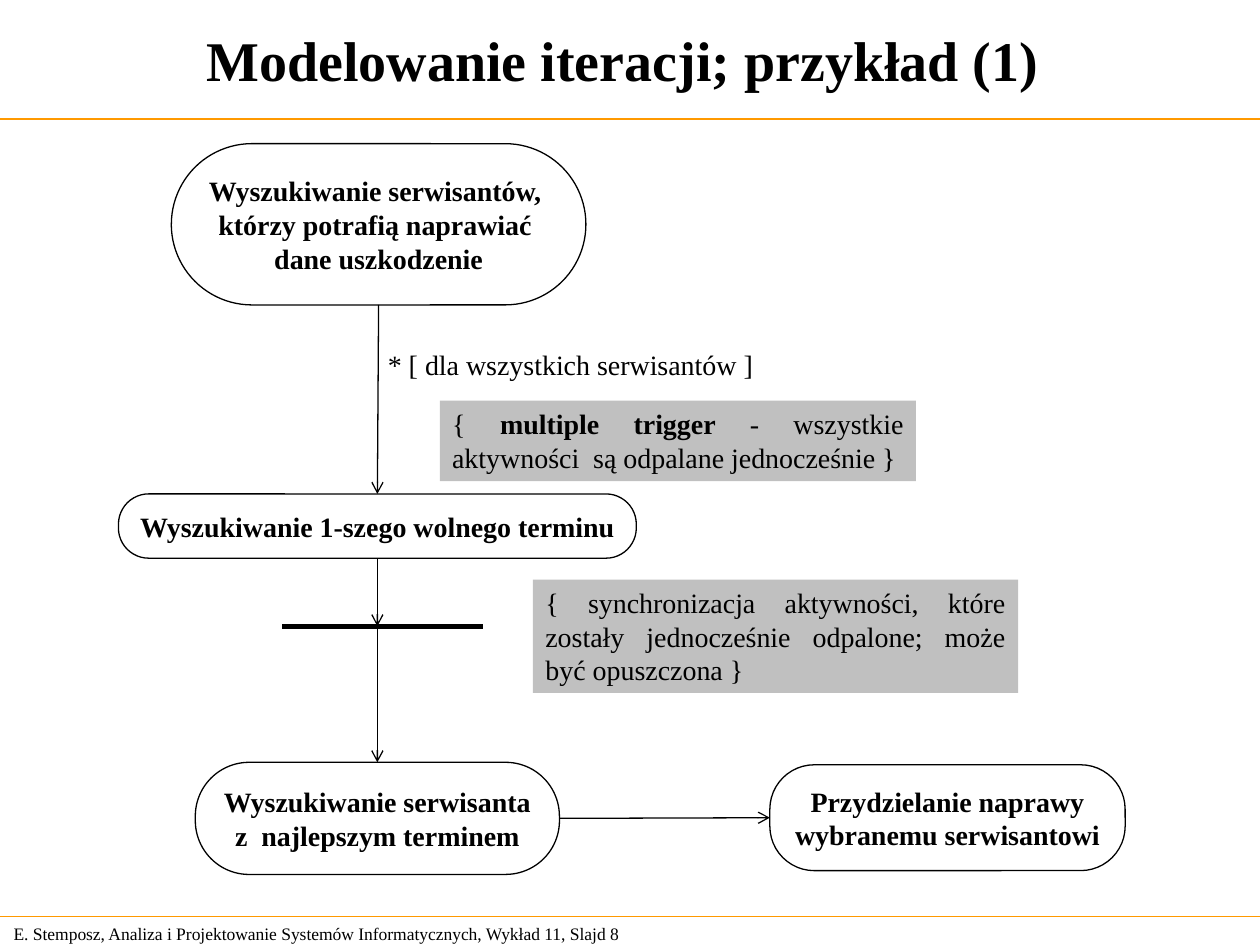
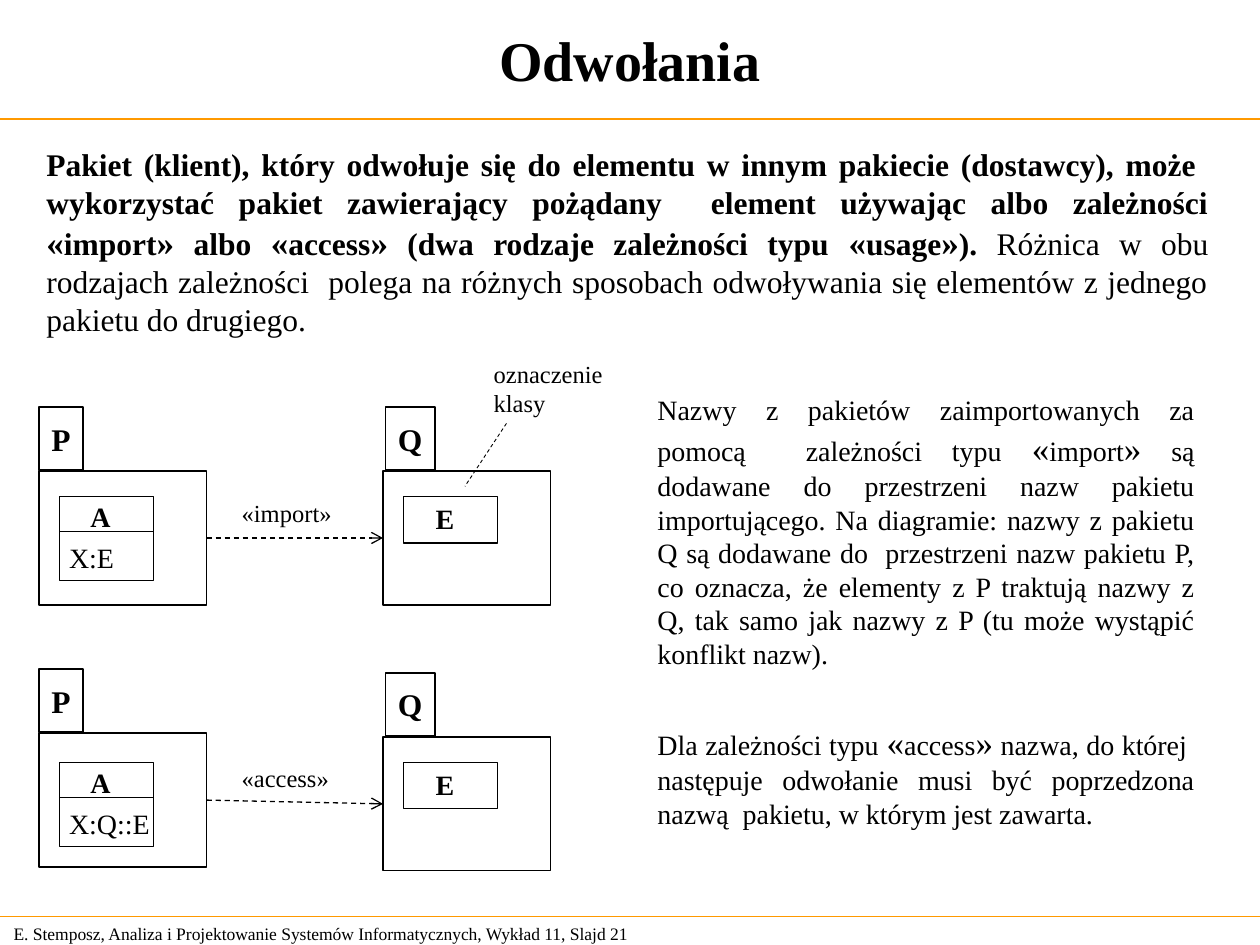
from itertools import groupby
from lxml import etree
from pptx import Presentation, util as u
from pptx.dml.color import RGBColor
from pptx.enum import dml, shapes, text
from pptx.oxml.ns import qn

# The slide is a grid of 100 columns by 75 rows.
COLS, ROWS = 100, 75
CELL = u.Inches(0.1)
FONT = "Times New Roman"
BLACK, WHITE, GREY, ORANGE = "000000", "FFFFFF", "C0C0C0", "FF9900"
TOP, BASE = 9.42, 72.75
LEFT, MID, JUST = text.PP_ALIGN.LEFT, text.PP_ALIGN.CENTER, text.PP_ALIGN.JUSTIFY
KIND = shapes.MSO_SHAPE
FOOT = "E. Stemposz, Analiza i Projektowanie Systemów Informatycznych, Wykład 11, Slajd {}"


def grid(*cells):
    return [round(n * CELL) for n in cells]


def color(code):
    return RGBColor.from_string(code)


def write(shape, words, size, bold=False, align=LEFT, wrap=True, mid=False, quote=None):
    """Fill a shape; ** switches bold, quote is the size of « and »."""
    frame = shape.text_frame
    frame.word_wrap = wrap
    frame.vertical_anchor = text.MSO_ANCHOR.MIDDLE if mid else text.MSO_ANCHOR.TOP
    for i, line in enumerate(words.split("\n")):
        para = frame.add_paragraph() if i else frame.paragraphs[0]
        para.alignment = align
        for j, part in enumerate(line.split("**")):
            for big, chars in groupby(part, lambda c: bool(quote) and c in "«»"):
                run = para.add_run()
                run.text = "".join(chars)
                font = run.font
                font.name, font.size = FONT, u.Pt(quote if big else size)
                font.bold = bold or j % 2 == 1
                font.color.rgb = color(BLACK)


def label(slide, area, words, size, **style):
    box = slide.shapes.add_textbox(*grid(*area))
    write(box, words, size, **style)


def block(slide, area, kind=KIND.RECTANGLE, fill=None, width=None):
    shape = slide.shapes.add_shape(kind, *grid(*area))
    shape.shadow.inherit = False
    if fill:
        shape.fill.solid()
        shape.fill.fore_color.rgb = color(fill)
    else:
        shape.fill.background()
    if width:
        shape.line.color.rgb = color(BLACK)
        shape.line.width = u.Pt(width)
    else:
        shape.line.fill.background()
    return shape


def rule(slide, ends, width=0.75, ink=BLACK, dash=False, arrow=False):
    line = slide.shapes.add_connector(shapes.MSO_CONNECTOR.STRAIGHT, *grid(*ends))
    line.line.color.rgb = color(ink)
    line.line.width = u.Pt(width)
    if dash:
        line.line.dash_style = dml.MSO_LINE.DASH
    if arrow:
        etree.SubElement(line.line._get_or_add_ln(), qn("a:tailEnd"), type="arrow")
    etree.SubElement(line._element.spPr, qn("a:effectLst"))
    return line


def link(slide, ends, start=None, stop=None, dash=False):
    """Draw an arrow; start and stop are (shape, side) pairs to join."""
    line = rule(slide, ends, dash=dash, arrow=True)
    if start:
        line.begin_connect(*start)
    if stop:
        line.end_connect(*stop)


def state(slide, area, words, bend):
    shape = block(slide, area, KIND.ROUNDED_RECTANGLE, WHITE, 0.75)
    shape.adjustments[0] = bend
    write(shape, words, 16, bold=True, align=MID, wrap=False, mid=True)
    return shape


def note(slide, area, words):
    write(block(slide, area, fill=GREY), words, 16, align=JUST)


def pack(slide, left, top, name, shift, width):
    """Draw a package: a name tab, moved by shift, on top of its body."""
    tab = block(slide, (left + shift, top, width, 5), fill=WHITE, width=1)
    write(tab, name, 18, bold=True, align=MID, wrap=False, mid=True)
    return block(slide, (left, top + 5.1, 13.3, 10.6), width=1)


def pair(slide, left, right, kind, field):
    """Draw packages P and Q, whose tops are left and right, and their link."""
    client = pack(slide, 3.1, left, "P", 0, 3.5)
    owner = pack(slide, 30.4, right, "Q", 0.2, 3.9)
    row = right + 7.1
    block(slide, (4.7, row, 7.5, 6.7), width=0.75)
    rule(slide, (4.7, row + 2.8, 12.2, row + 2.8))
    label(slide, (6.2, row - 0.25, 5, 3.7), "A", 16, bold=True)
    label(slide, (4.5, row + 3, 10, 3.7), field, 16)
    block(slide, (32, row, 7.5, 3.7), width=0.75)
    label(slide, (33.6, row - 0.1, 5, 3.7), "E", 16, bold=True)
    link(slide, (16.4, left + 10.4, 30.4, right + 10.4), (client, 3), (owner, 1), True)
    label(slide, (18.2, row - 0.4, 11, 3.4), kind, 14)


def page(deck, title, number):
    slide = deck.slides.add_slide(deck.slide_layouts[6])
    label(slide, (0.1, BASE, 60, 2.7), FOOT.format(number), 10, mid=True)
    for row in (TOP, BASE):
        rule(slide, (0, row, COLS, row), width=1, ink=ORANGE)
    label(slide, (0, 0.1, COLS, 9.2), title, 32, bold=True, align=MID, mid=True)
    return slide


def loop(deck):
    slide = page(deck, "Modelowanie iteracji; przykład (1) ", 8)
    axis, bar = 29.95, 49.7
    find = state(slide, (13.6, 11.4, 32.9, 12.8),
                 "Wyszukiwanie serwisantów, \nktórzy potrafią naprawiać \ndane uszkodzenie", 0.5)
    term = state(slide, (9.4, 39.2, 41.1, 5.1), "Wyszukiwanie 1-szego wolnego terminu", 0.47)
    best = state(slide, (15.5, 60.5, 28.9, 8.9),
                 "Wyszukiwanie serwisanta\nz  najlepszym terminem", 0.48)
    give = state(slide, (61.1, 60.7, 28.2, 8.4),
                 "Przydzielanie naprawy\nwybranemu serwisantowi", 0.42)
    rule(slide, (22.4, bar, 38.3, bar), width=3)
    link(slide, (axis, 24.2, axis, 39.2), (find, 2), (term, 0))
    link(slide, (axis, 44.3, axis, bar), start=(term, 2))
    link(slide, (axis, bar, axis, 60.5), stop=(best, 0))
    link(slide, (44.4, 64.9, 61.1, 64.9), (best, 3), (give, 1))
    label(slide, (29.8, 27.1, 34, 3.7), "* [ dla wszystkich serwisantów ]", 16)
    note(slide, (34.9, 31.8, 37.8, 6.4),
         "{ **multiple trigger **- wszystkie aktywności  są odpalane jednocześnie }")
    note(slide, (42.3, 46, 38.5, 9),
         "{ synchronizacja aktywności, które zostały jednocześnie odpalone; "
         "może być opuszczona }")


def refs(deck):
    slide = page(deck, "Odwołania", 21)
    label(slide, (2.7, 11, 94.2, 16.4),
          "**Pakiet (klient), który odwołuje się do elementu w innym pakiecie (dostawcy), "
          "może  wykorzystać pakiet zawierający pożądany  element używając albo zależności "
          "«import» albo «access» (dwa rodzaje zależności typu «usage»). **"
          "Różnica w obu rodzajach zależności  polega na różnych sposobach odwoływania się "
          "elementów z jednego pakietu do drugiego.", 18, align=JUST, quote=20)
    pair(slide, 32.3, 32.3, "«import»", "X:E")
    pair(slide, 53.1, 53.4, "«access»", "X:Q::E")
    label(slide, (51.2, 30.7, 44.6, 23),
          "Nazwy z pakietów zaimportowanych za pomocą  zależności typu «import» są "
          "dodawane do przestrzeni nazw pakietu importującego. Na diagramie: nazwy z "
          "pakietu Q są dodawane do  przestrzeni nazw pakietu P, co oznacza, że elementy "
          "z P traktują nazwy z Q, tak samo jak nazwy z P (tu może wystąpić konflikt nazw).",
          16, align=JUST, quote=20)
    label(slide, (51.2, 56.7, 44.6, 9.7),
          "Dla zależności typu «access» nazwa, do której  następuje odwołanie musi być "
          "poprzedzona nazwą  pakietu, w którym jest zawarta.", 16, align=JUST, quote=20)
    label(slide, (38.2, 28, 12.6, 5.7), "oznaczenie\nklasy", 14)
    rule(slide, (40.2, 33.6, 36.9, 38.6), width=0.5, dash=True)


def main():
    deck = Presentation()
    deck.slide_width, deck.slide_height = grid(COLS, ROWS)
    loop(deck)
    refs(deck)
    deck.save("out.pptx")


if __name__ == "__main__":
    main()
